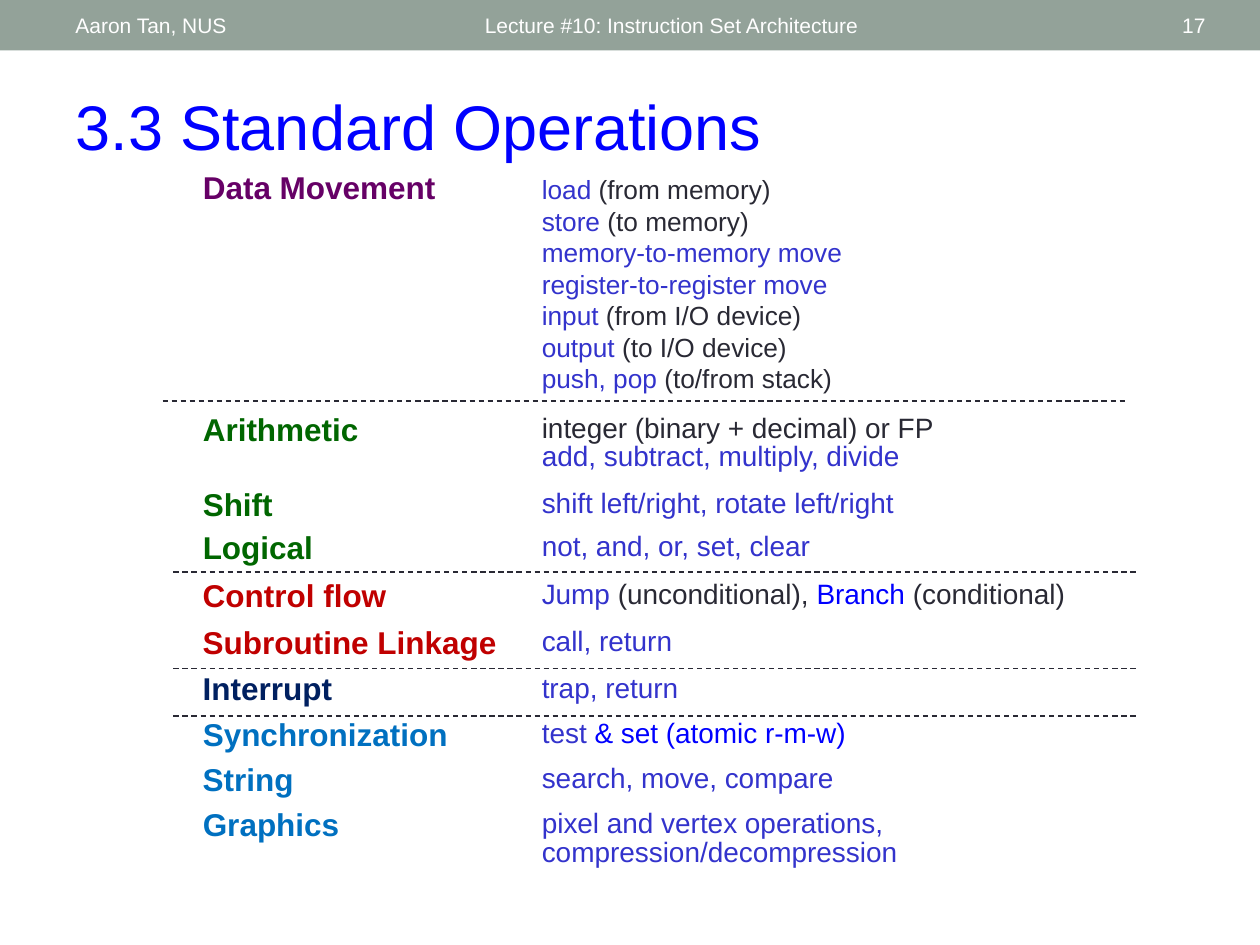
from pptx import Presentation
from pptx.dml.color import RGBColor
from pptx.enum.dml import MSO_LINE_DASH_STYLE as Dash
from pptx.enum.shapes import MSO_CONNECTOR as Connector, MSO_SHAPE as Shape
from pptx.enum.text import MSO_ANCHOR as Anchor, MSO_AUTO_SIZE as AutoSize, PP_ALIGN as Align
from pptx.oxml.ns import qn
from pptx.util import Pt

WHITE = RGBColor(0xFF, 0xFF, 0xFF)
SAGE = RGBColor(0x93, 0xA2, 0x99)
BLUE = RGBColor(0x00, 0x00, 0xFF)
INDIGO = RGBColor(0x33, 0x33, 0xCC)
INK = RGBColor(0x29, 0x29, 0x34)
PURPLE = RGBColor(0x66, 0x00, 0x66)
GREEN = RGBColor(0x00, 0x66, 0x00)
RED = RGBColor(0xC0, 0x00, 0x00)
NAVY = RGBColor(0x00, 0x20, 0x60)
SKY = RGBColor(0x00, 0x70, 0xC0)

FONT = "Arial"
TIGHT = 0.85
OPERATIONS_LEFT = 193.7
ROW_INSETS = (5, 2, 0, 2)

# Offset from the top, label, label colour, label width, operations width,
# and the operations as paragraphs of (text, colour) runs.
ROWS = [
    (0, "Data Movement", PURPLE, 143.3, 183.6, [
        [("load ", INDIGO), ("(from memory)", INK)],
        [("store ", INDIGO), ("(to memory)", INK)],
        [("memory-to-memory move", INDIGO)],
        [("register-to-register move", INDIGO)],
        [("input ", INDIGO), ("(from I/O device)", INK)],
        [("output ", INDIGO), ("(to I/O device)", INK)],
        [("push, pop ", INDIGO), ("(to/from stack)", INK)]]),
    (138.2, "Arithmetic", GREEN, 99.4, 236.9, [
        [("integer (binary + decimal) or FP", INK)],
        [("add, subtract, multiply, divide", INDIGO)]]),
    (181.4, "Shift", GREEN, 49.7, 214.6,
     [[("shift left/right, rotate left/right", INDIGO)]]),
    (205.9, "Logical", GREEN, 72.7, 165.6,
     [[("not, and, or, set, clear", INDIGO)]]),
    (233.3, "Control flow", RED, 115.2, 312.5,
     [[("Jump ", INDIGO), ("(unconditional),", INK),
       (" Branch ", BLUE), ("(conditional)", INK)]]),
    (259.9, "Subroutine Linkage", RED, 177.8, 85.7, [[("call, return", INDIGO)]]),
    (286.6, "Interrupt", NAVY, 84.2, 89.3, [[("trap, return", INDIGO)]]),
    (312.5, "Synchronization", SKY, 149.8, 186.5,
     [[("test ", INDIGO), ("& set (atomic r-m-w)", BLUE)]]),
    (338.4, "String", SKY, 61.9, 179.3, [[("search, move, compare", INDIGO)]]),
    (364.3, "Graphics", SKY, 87.8, 215.3,
     [[("pixel and vertex operations, \ncompression/decompression", INDIGO)]]),
]

# Offsets of each rule from the left and top of the operations list.
DIVIDERS = [(-18, 132), (-11.8, 229.7), (-11.8, 284.6), (-11.8, 312)]
DIVIDER_WIDTH = 552


def write_text(frame, paragraphs, *, size, bold=False, align=Align.LEFT,
               anchor=Anchor.TOP, spacing=1.0, insets=(7.2, 3.6, 7.2, 3.6)):
    frame.word_wrap = True
    frame.auto_size = AutoSize.NONE
    frame.vertical_anchor = anchor
    (frame.margin_left, frame.margin_top,
     frame.margin_right, frame.margin_bottom) = map(Pt, insets)
    for index, runs in enumerate(paragraphs):
        paragraph = frame.add_paragraph() if index else frame.paragraphs[0]
        paragraph.alignment = align
        paragraph.line_spacing = spacing
        for text, color in runs:
            for line_index, line in enumerate(text.split("\n")):
                if line_index:
                    paragraph.add_line_break()
                run = paragraph.add_run()
                run.text = line
                run.font.name = FONT
                run.font.size = Pt(size)
                run.font.bold = bold
                run.font.color.rgb = color


def add_text(slide, left, top, width, height, paragraphs, **text_format):
    box = slide.shapes.add_textbox(Pt(left), Pt(top), Pt(width), Pt(height))
    write_text(box.text_frame, paragraphs, **text_format)


def add_header(slide, left, top, width, height):
    bar = slide.shapes.add_shape(Shape.RECTANGLE, Pt(left), Pt(top), Pt(width), Pt(height))
    bar.shadow.inherit = False
    bar.fill.solid()
    bar.fill.fore_color.rgb = SAGE
    bar.line.fill.background()
    fields = [
        (36, 228, "Aaron Tan, NUS", Align.LEFT),
        (270, 324, "Lecture #10: Instruction Set Architecture", Align.LEFT),
        (628, 68, "17", Align.RIGHT),
    ]
    for offset, field_width, text, align in fields:
        add_text(slide, left + offset, top + 1.4, field_width, height - 2.8,
                 [[(text, WHITE)]], size=12, align=align, anchor=Anchor.MIDDLE)


def add_title(slide, left, top, width, height):
    title = slide.shapes.title
    title.left, title.top, title.width, title.height = map(Pt, (left, top, width, height))
    write_text(title.text_frame, [[("3.3 Standard Operations", BLUE)]],
               size=36, anchor=Anchor.BOTTOM)


def add_divider(slide, left, top, width):
    line = slide.shapes.add_connector(
        Connector.STRAIGHT, Pt(left), Pt(top), Pt(left + width), Pt(top))
    line.line.color.rgb = INK
    line.line.width = Pt(0.75)
    line.line.dash_style = Dash.DASH
    properties = line._element.spPr
    properties.append(properties.makeelement(qn("a:effectLst"), {}))


def add_operations(slide, left, top):
    """Place the labelled rows of operations and the dashed rules between them."""
    for offset, label, color, label_width, operations_width, operations in ROWS:
        is_long = len(operations) > 2
        line_count = sum(runs[-1][0].count("\n") + 1 for runs in operations)
        line_height = 18 if is_long else 15.7
        add_text(slide, left, top + offset, label_width, 22.3, [[(label, color)]],
                 size=18, bold=True, spacing=TIGHT, insets=ROW_INSETS)
        add_text(slide, left + OPERATIONS_LEFT, top + offset,
                 operations_width, line_count * line_height + 4.8, operations,
                 size=15 if is_long else 16,
                 spacing=Pt(line_height) if is_long else TIGHT, insets=ROW_INSETS)
    for offset_left, offset_top in DIVIDERS:
        add_divider(slide, left + offset_left, top + offset_top, DIVIDER_WIDTH)


def main():
    presentation = Presentation()
    presentation.slide_width, presentation.slide_height = Pt(720), Pt(540)
    slide = presentation.slides.add_slide(presentation.slide_layouts[5])
    add_header(slide, 0, 0, 720, 28.8)
    add_title(slide, 36, 46, 660, 51)
    add_operations(slide, 110.9, 97.2)
    presentation.save("out.pptx")


if __name__ == "__main__":
    main()
